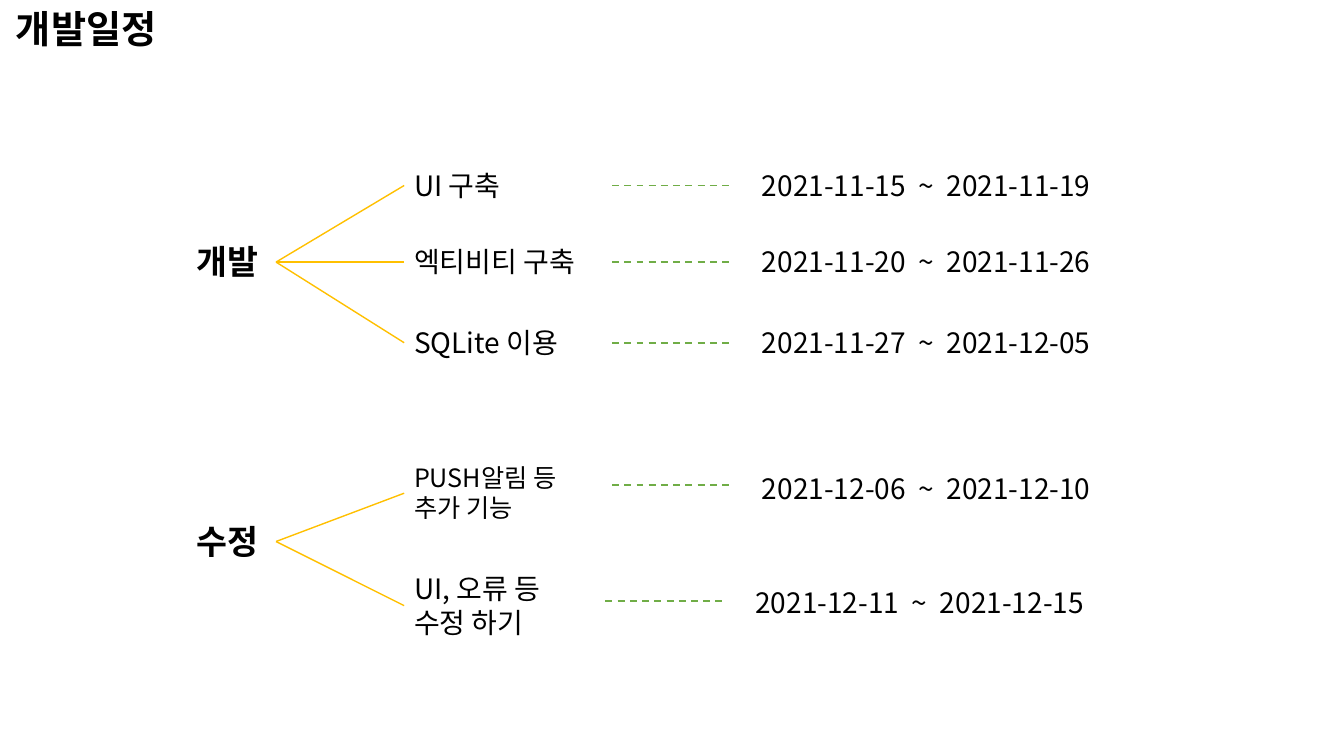
import pptx
import pptx.dml.color
import pptx.enum.dml
import pptx.enum.shapes
import pptx.enum.text
import pptx.oxml.ns
import pptx.util
from lxml import etree

Pt = pptx.util.Pt
qn = pptx.oxml.ns.qn
FONT = "Noto Sans CJK KR"
COLORS = {"text": "000000", "branch": "FFC000", "dash": "70AD47"}

DEVELOPMENT = [
    {"label": "UI 구축", "date": "2021-11-15  ~  2021-11-19", "y": 16.5},
    {"label": "엑티비티 구축", "date": "2021-11-20  ~  2021-11-26", "y": 71.2},
    {"label": "SQLite 이용", "date": "2021-11-27  ~  2021-12-05", "y": 128.8},
]
REVISION = [
    {"label": "PUSH알림 등\n추가 기능", "date": "2021-12-06  ~  2021-12-10", "y": 26.3,
     "size": 18, "height": 51, "dash_dy": -6, "date_dy": -3.2},
    {"label": "UI, 오류 등\n수정 하기", "date": "2021-12-11  ~  2021-12-15", "y": 106.6,
     "height": 55.4, "dash_dy": -3.5, "date_dy": -2, "dx": -4.7},
]


def rgb(name):
    return pptx.dml.color.RGBColor.from_string(COLORS[name])


def add_text(s, text, x, y, w, h, size=20, bold=False, spacing=None):
    sp = s.shapes.add_textbox(Pt(x), Pt(y), Pt(w), Pt(h))
    tf = sp.text_frame
    tf.word_wrap = True
    tf.vertical_anchor = pptx.enum.text.MSO_ANCHOR.TOP
    for i, line in enumerate(text.split("\n")):
        p = tf.add_paragraph() if i else tf.paragraphs[0]
        if spacing:
            p.line_spacing = spacing
        r = p.add_run()
        r.text = line
        r.font.size = Pt(size)
        r.font.bold = bold
        r.font.name = FONT
        r.font.color.rgb = rgb("text")
        ea = etree.SubElement(r.font._element, qn("a:ea"))
        ea.set("typeface", FONT)


def add_line(s, x1, y1, x2, y2, color, width, dashed=False):
    line = s.shapes.add_connector(pptx.enum.shapes.MSO_CONNECTOR.STRAIGHT,
                                  Pt(x1), Pt(y1), Pt(x2), Pt(y2))
    line.line.color.rgb = rgb(color)
    line.line.width = Pt(width)
    if dashed:
        line.line.dash_style = pptx.enum.dml.MSO_LINE.DASH
    etree.SubElement(line._element.spPr, qn("a:effectLst"))


def draw_title(s, text, x, y, w, h):
    add_text(s, text, x, y, w, h, size=27.3, bold=True, spacing=0.9)


def draw_phase(s, name, rows, x, y, root_y):
    root_x, label_x = x + 64, x + 155.5
    add_text(s, name, x, y + root_y - 18.5, 64, 36, size=24, bold=True)
    for row in rows:
        mid = y + row["y"]
        dx = row.get("dx", 0)
        height = row.get("height", 31.6)
        dash_y = mid + row.get("dash_dy", 0)
        date_y = mid + row.get("date_dy", 0)
        add_line(s, root_x, y + root_y, label_x, mid, "branch", 1)
        add_text(s, row["label"], label_x, mid - height / 2, 144, height,
                 size=row.get("size", 20))
        add_line(s, x + 304 + dx, dash_y, x + 391 + dx, dash_y, "dash", 1.25, dashed=True)
        add_text(s, row["date"], x + 404 + dx, date_y - 15.8, 275, 31.6)


def main():
    prs = pptx.Presentation()
    prs.slide_width, prs.slide_height = Pt(960), Pt(540)
    s = prs.slides.add_slide(prs.slide_layouts[6])
    draw_title(s, "개발일정", 4.3, 3.6, 137.5, 49.7)
    draw_phase(s, "개발", DEVELOPMENT, 133.2, 116, 71.2)
    draw_phase(s, "수정", REVISION, 133.2, 326, 60.8)
    prs.save("out.pptx")


if __name__ == "__main__":
    main()
